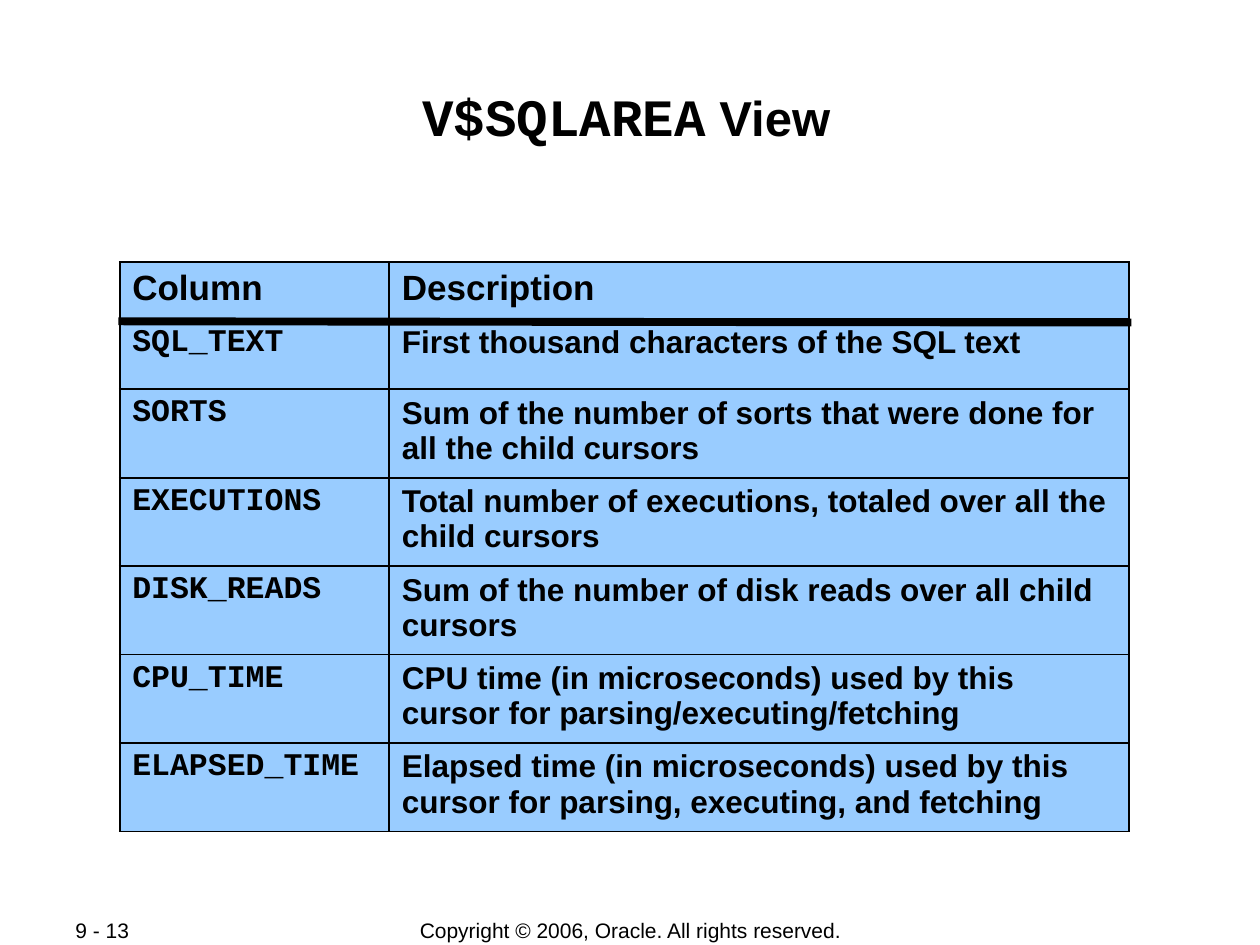
from lxml.etree import SubElement
from pptx import Presentation
from pptx.dml.color import RGBColor
from pptx.enum.shapes import MSO_CONNECTOR
from pptx.enum.text import MSO_ANCHOR, MSO_AUTO_SIZE, PP_ALIGN
from pptx.oxml.ns import qn
from pptx.util import Inches, Pt

COLORS = {"text": "000000", "line": "000000", "cell": "99CCFF"}
SANS, MONO = "Arial", "Courier New"
HEADERS = ("Column", "Description")
VIEW_COLUMNS = (
    ("SQL_TEXT", "First thousand characters of the SQL text"),
    ("SORTS", "Sum of the number of sorts that were done for all the child cursors"),
    ("EXECUTIONS", "Total number of executions, totaled over all the child cursors"),
    ("DISK_READS", "Sum of the number of disk reads over all child cursors"),
    ("CPU_TIME", "CPU time (in microseconds) used by this cursor for parsing/executing/fetching"),
    ("ELAPSED_TIME", "Elapsed time (in microseconds) used by this cursor for parsing, executing, and fetching"),
)


def color(name):
    """Return the named colour."""
    return RGBColor.from_string(COLORS[name])


def add_span(para, text, size, font=SANS, bold=True):
    """Add one formatted run to a paragraph."""
    span = para.add_run()
    span.text = text
    span.font.name = font
    span.font.size = Pt(size)
    span.font.bold = bold
    span.font.color.rgb = color("text")


def place(shape, box):
    """Move a shape to a box of left, top, width and height in inches."""
    shape.left, shape.top, shape.width, shape.height = map(Inches, box)


def fill_title(page, box):
    """Place the title and write its two spans."""
    title = page.shapes.title
    place(title, box)
    frame = title.text_frame
    frame.auto_size = MSO_AUTO_SIZE.NONE
    frame.vertical_anchor = MSO_ANCHOR.TOP
    frame.margin_left = frame.margin_right = frame.margin_bottom = Inches(0.01)
    frame.margin_top = Inches(0.09)
    para = frame.paragraphs[0]
    para.alignment = PP_ALIGN.CENTER
    add_span(para, "V$SQLAREA", 30, MONO)
    add_span(para, " View", 28)


def add_borders(cell):
    """Draw a thin line on each side of a cell."""
    properties = cell._tc.get_or_add_tcPr()
    for index, side in enumerate(("lnL", "lnR", "lnT", "lnB")):
        line = properties.makeelement(qn(f"a:{side}"), {"w": str(Pt(1.08))})
        solid = SubElement(line, qn("a:solidFill"))
        SubElement(solid, qn("a:srgbClr"), val=COLORS["line"])
        properties.insert(index, line)


def add_view_table(page, box):
    """Add the table of view columns and the heavy rule below its header."""
    left, top, width, height = box
    rows = (HEADERS,) + VIEW_COLUMNS
    table = page.shapes.add_table(len(rows), len(HEADERS), *map(Inches, box)).table
    name_width, header_height, first_height = 2.14, 0.45, 0.56
    table.columns[0].width = Inches(name_width)
    table.columns[1].width = Inches(width - name_width)
    other_height = (height - header_height - first_height) / (len(rows) - 2)
    heights = [header_height, first_height] + [other_height] * (len(rows) - 2)
    for row_index, texts in enumerate(rows):
        table.rows[row_index].height = Inches(heights[row_index])
        for column_index, text in enumerate(texts):
            cell = table.cell(row_index, column_index)
            cell.fill.solid()
            cell.fill.fore_color.rgb = color("cell")
            add_borders(cell)
            is_name = row_index > 0 and column_index == 0
            add_span(cell.text_frame.paragraphs[0], text,
                     18 if row_index else 20, MONO if is_name else SANS)
    rule = page.shapes.add_connector(
        MSO_CONNECTOR.STRAIGHT, Inches(left - 0.01), Inches(top + 0.47),
        Inches(left + width + 0.02), Inches(top + 0.48))
    rule.line.color.rgb = color("line")
    rule.line.width = Pt(4.5)
    SubElement(rule._element.spPr, qn("a:effectLst"))


def add_footer(page, box, text, alignment):
    """Add one line of footer text."""
    frame = page.shapes.add_textbox(*map(Inches, box)).text_frame
    frame.word_wrap = True
    frame.vertical_anchor = MSO_ANCHOR.MIDDLE
    para = frame.paragraphs[0]
    para.alignment = alignment
    add_span(para, text, 12, bold=False)


def main():
    """Build and save the deck."""
    deck = Presentation()
    deck.slide_width, deck.slide_height = Inches(10), Inches(7.5)
    page = deck.slides.add_slide(deck.slide_layouts.get_by_name("Title Only"))
    add_footer(page, (0.5, 7.28, 1.06, 0.2), "9 - 13", PP_ALIGN.LEFT)
    add_footer(page, (2.76, 7.28, 4.49, 0.21),
               "Copyright © 2006, Oracle. All rights reserved.", PP_ALIGN.CENTER)
    fill_title(page, (0.97, 0.58, 8, 0.96))
    add_view_table(page, (0.95, 2.08, 8.01, 4.52))
    deck.save("out.pptx")


if __name__ == "__main__":
    main()
